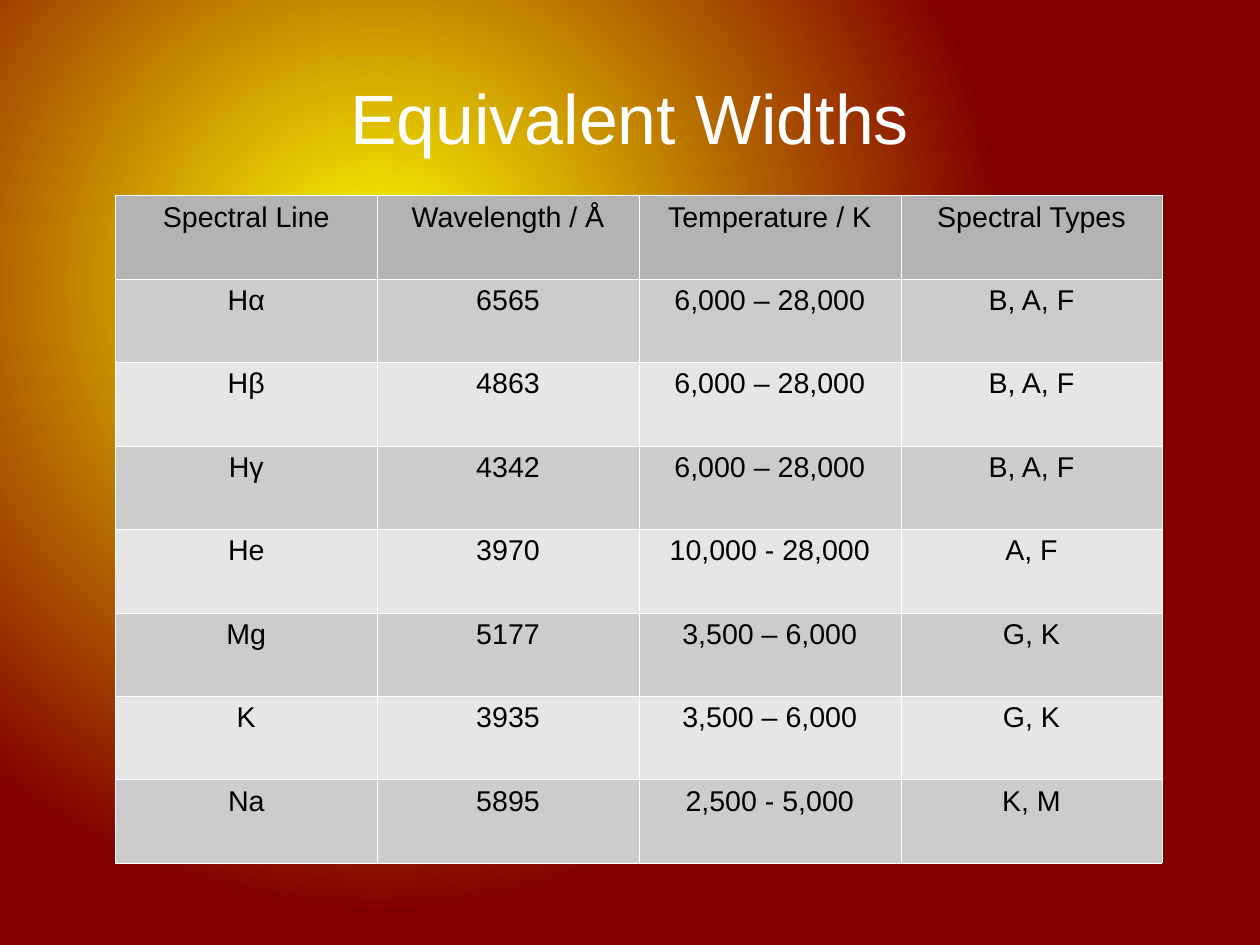
from lxml.etree import SubElement
from pptx import Presentation
from pptx.dml.color import RGBColor
from pptx.enum.text import MSO_ANCHOR, PP_ALIGN
from pptx.oxml import parse_xml
from pptx.oxml.ns import nsdecls, qn
from pptx.util import Cm, Inches, Pt

WIDTH, HEIGHT = Cm(28), Cm(21)
ROW_FILLS = ["E6E6E6", "CCCCCC"]
HEADER_FILL = "B3B3B3"
SPECTRAL_LINES = [
    ["Spectral Line", "Wavelength / Å", "Temperature / K", "Spectral Types"],
    ["Hα", "6565", "6,000 – 28,000", "B, A, F"],
    ["Hβ", "4863", "6,000 – 28,000", "B, A, F"],
    ["Hγ", "4342", "6,000 – 28,000", "B, A, F"],
    ["He", "3970", "10,000 - 28,000", "A, F"],
    ["Mg", "5177", "3,500 – 6,000", "G, K"],
    ["K", "3935", "3,500 – 6,000", "G, K"],
    ["Na", "5895", "2,500 - 5,000", "K, M"],
]


def color(value):
    return RGBColor.from_string(value)


def write(frame, text, size, fill):
    para = frame.paragraphs[0]
    para.alignment = PP_ALIGN.CENTER
    span = para.add_run()
    span.text = text
    span.font.name = "Arial"
    span.font.size = Pt(size)
    span.font.color.rgb = color(fill)


def set_glow_background(page, inner, outer, reach, center):
    """Fill the page with a circular gradient; reach and center are percentages."""
    page.background.fill.gradient()
    properties = page.background._cSld.bg.bgPr
    gradient = properties.find(qn("a:gradFill"))
    far = 100 - center
    glow = parse_xml(
        f'<a:gradFill {nsdecls("a")} rotWithShape="1"><a:gsLst>'
        f'<a:gs pos="0"><a:srgbClr val="{inner}"/></a:gs>'
        f'<a:gs pos="{reach * 1000}"><a:srgbClr val="{outer}"/></a:gs>'
        f'</a:gsLst><a:path path="circle"><a:fillToRect l="{center}000" t="{center}000" '
        f'r="{far}000" b="{far}000"/></a:path></a:gradFill>'
    )
    properties.replace(gradient, glow)


def add_title(page, text):
    box = page.shapes.add_textbox(
        int(WIDTH * 0.05), Inches(0.33), int(WIDTH * 0.9), Inches(1.38)
    )
    frame = box.text_frame
    frame.word_wrap = True
    frame.vertical_anchor = MSO_ANCHOR.MIDDLE
    frame.margin_left = frame.margin_right = frame.margin_top = frame.margin_bottom = 0
    write(frame, text, size=44, fill="FFFFFF")


def add_borders(cell, line_color, width):
    properties = cell._tc.get_or_add_tcPr()
    for side in ("a:lnL", "a:lnR", "a:lnT", "a:lnB"):
        line = SubElement(properties, qn(side), w=str(int(Pt(width))))
        fill = SubElement(line, qn("a:solidFill"))
        SubElement(fill, qn("a:srgbClr"), val=line_color)


def add_table(page, rows, left, top, column_width, row_height):
    count = len(rows[0])
    table = page.shapes.add_table(
        len(rows), count, Inches(left), Inches(top),
        Inches(column_width * count), Inches(row_height * len(rows)),
    ).table
    table.first_row = table.horz_banding = False
    for r, texts in enumerate(rows):
        row_fill = ROW_FILLS[r % 2] if r else HEADER_FILL
        for c, text in enumerate(texts):
            cell = table.cell(r, c)
            add_borders(cell, "FFFFFF", 0.06)
            cell.fill.solid()
            cell.fill.fore_color.rgb = color(row_fill)
            write(cell.text_frame, text, size=18, fill="000000")


def main():
    deck = Presentation()
    deck.slide_width, deck.slide_height = WIDTH, HEIGHT
    page = deck.slides.add_slide(deck.slide_layouts[6])
    set_glow_background(page, "FFFF00", "800000", reach=80, center=30)
    add_title(page, "Equivalent Widths")
    add_table(page, SPECTRAL_LINES, left=1.01, top=1.71, column_width=2.29, row_height=0.73)
    deck.save("out.pptx")


if __name__ == "__main__":
    main()
